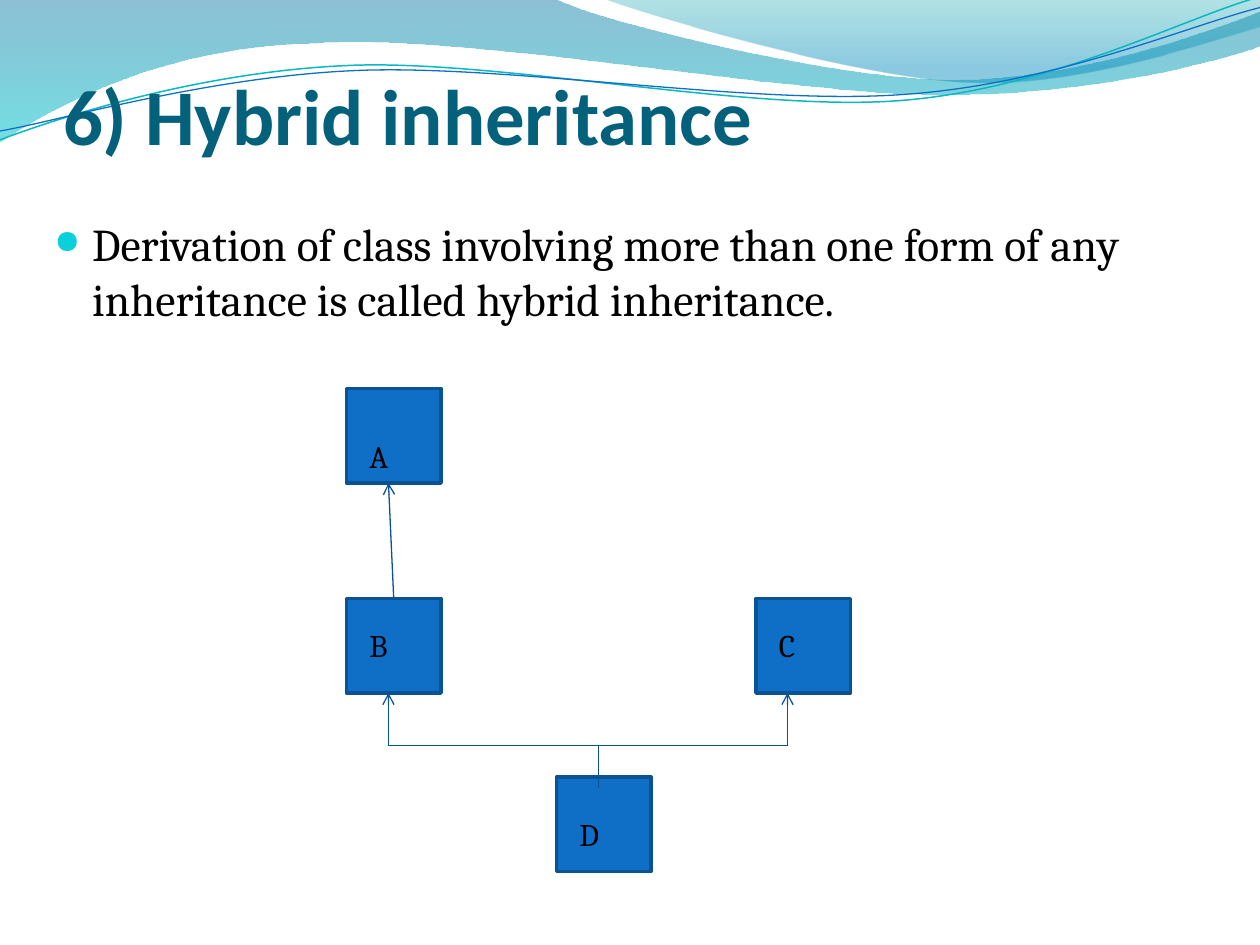
from dataclasses import dataclass
from typing import NamedTuple

from lxml import etree
from pptx import Presentation
from pptx import util as u
from pptx.dml.color import RGBColor
from pptx.enum import shapes, text
from pptx.oxml.ns import qn

WIDTH, HEIGHT = u.Inches(10), u.Inches(7.5)
CELL = WIDTH / 120  # the grid has 120 columns and 90 rows
BOX_SIZE = 9

TITLE_COLOR = RGBColor(0x04, 0x61, 0x7B)
BLACK = RGBColor(0, 0, 0)
BULLET = RGBColor(0x0B, 0xD0, 0xD9)
BOX_FILL = RGBColor(0x0F, 0x6F, 0xC6)
BOX_LINE = RGBColor(0x0B, 0x52, 0x92)
ARROW = RGBColor(0x09, 0x52, 0x95)
TEAL = RGBColor(0x0A, 0xB8, 0xBF)
DEEP_BLUE = RGBColor(0x00, 0x74, 0xA1)
CYAN = RGBColor(0x00, 0xC6, 0xCF)
SEA_GREEN = RGBColor(0x00, 0xA1, 0xA9)
SKY_BLUE = RGBColor(0x00, 0x8B, 0xBF)


class Stop(NamedTuple):
    position: float
    color: RGBColor
    alpha: int  # percent


@dataclass
class Wave:
    """A path in 1/1000 of the width: 2 numbers make a line, 6 a Bezier curve."""
    start: tuple
    segments: list
    stops: tuple = ()
    color: RGBColor | None = None
    weight: float = 0


@dataclass
class ClassBox:
    name: str
    column: float
    row: float
    label_row: float


@dataclass
class Link:
    start: tuple
    end: tuple
    arrow: bool = False


WAVES = [
    Wave((0, 0), [(440, -1), (476, 17, 664, 63, 758, 63),
                  (853, 63, 958, 26, 1000, 9), (1001, 36),
                  (983, 44, 870, 76, 746, 75),
                  (622, 75, 382, 28, 257, 34),
                  (129, 36, 46, 83, -1, 113)],
         stops=(Stop(0, DEEP_BLUE, 45), Stop(1, CYAN, 55))),
    Wave((479, -1), [(509, 11, 682, 62, 769, 65),
                     (856, 69, 961, 32, 1000, 21), (1000, 0)],
         stops=(Stop(0, SEA_GREEN, 30), Stop(0.8, SKY_BLUE, 45))),
    Wave((0, 111), [(48, 93, 158, 57, 277, 52),
                    (395, 47, 593, 89, 713, 80),
                    (833, 71, 938, 15, 998, -2)],
         color=TEAL, weight=0.85),
    Wave((0, 104), [(47, 96, 164, 61, 283, 56),
                    (403, 51, 597, 84, 717, 75),
                    (836, 67, 941, 21, 1000, 6)],
         color=BOX_FILL, weight=0.75),
]
BOXES = [ClassBox("A", 33, 37, 41), ClassBox("B", 33, 57, 59),
         ClassBox("C", 72, 57, 59), ClassBox("D", 53, 74, 77)]
JUNCTION = (57, 71)
LINKS = [
    Link((37.5, 57), (37, 46), arrow=True),
    Link((37, 71), (37, 66), arrow=True),
    Link((75, 71), (75, 66), arrow=True),
    Link((37, 71), (75, 71)),
    Link(JUNCTION, JUNCTION),
    Link(JUNCTION, (57, 75)),
]


def grid(*cells: float) -> list:
    return [u.Emu(round(cell * CELL)) for cell in cells]


def apply(target, **values) -> None:
    for name, value in values.items():
        setattr(target, name, value)


def write(frame, words: str, color: RGBColor, **font_values):
    """Write one paragraph and return it."""
    paragraph = frame.paragraphs[0]
    run = paragraph.add_run()
    run.text = words
    apply(run.font, **font_values)
    run.font.color.rgb = color
    return paragraph


def bend(shape, wave: Wave, left: int, top: int) -> None:
    """Replace straight segments with the wave's Bezier curves."""
    lines = list(shape._element.spPr.iter(qn("a:lnTo")))
    for line, segment in zip(lines, wave.segments):
        if len(segment) == 2:
            continue
        curve = etree.Element(qn("a:cubicBezTo"))
        for x, y in zip(segment[::2], segment[1::2]):
            etree.SubElement(curve, qn("a:pt"), x=str(x - left), y=str(y - top))
        line.getparent().replace(line, curve)


def draw_wave(slide, wave: Wave) -> None:
    anchors = [wave.start] + [segment[-2:] for segment in wave.segments]
    builder = slide.shapes.build_freeform(*wave.start, scale=WIDTH / 1000)
    builder.add_line_segments(anchors[1:], close=bool(wave.stops))
    shape = builder.convert_to_shape()
    bend(shape, wave, min(x for x, _ in anchors), min(y for _, y in anchors))
    shape.shadow.inherit = False
    if not wave.stops:
        shape.fill.background()
        shape.line.color.rgb = wave.color
        shape.line.width = u.Pt(wave.weight)
        return
    shape.line.fill.background()
    shape.fill.gradient()
    shape.fill.gradient_angle = 270
    for stop, values in zip(shape.fill.gradient_stops, wave.stops):
        stop.position = values.position
        stop.color.rgb = values.color
    colors = shape._element.spPr.find(qn("a:gradFill")).iter(qn("a:srgbClr"))
    for color, values in zip(colors, wave.stops):
        etree.SubElement(color, qn("a:alpha"), val=str(values.alpha * 1000))


def draw_box(slide, box: ClassBox) -> None:
    shape = slide.shapes.add_shape(
        shapes.MSO_SHAPE.RECTANGLE, *grid(box.column, box.row, BOX_SIZE, BOX_SIZE))
    shape.shadow.inherit = False
    shape.fill.solid()
    shape.fill.fore_color.rgb = BOX_FILL
    shape.line.color.rgb = BOX_LINE
    shape.line.width = u.Pt(2)


def draw_link(slide, link: Link) -> None:
    connector = slide.shapes.add_connector(
        shapes.MSO_CONNECTOR.STRAIGHT, *grid(*link.start, *link.end))
    connector.line.color.rgb = ARROW
    connector.line.width = u.Pt(0.75)
    if link.arrow:
        etree.SubElement(connector.line._get_or_add_ln(), qn("a:tailEnd"), type="arrow")
    etree.SubElement(connector._element.spPr, qn("a:effectLst"))


def draw_label(slide, box: ClassBox) -> None:
    frame = slide.shapes.add_textbox(
        *grid(box.column + 1, box.label_row, 6, 4.8)).text_frame
    frame.word_wrap = True
    write(frame, box.name, BLACK, size=u.Pt(18), name="Cambria")


def set_title(slide, words: str) -> None:
    title = slide.shapes.title
    apply(title, left=round(WIDTH * 0.05), top=u.Inches(0.77),
          width=round(WIDTH * 0.9), height=u.Inches(1.25))
    # The bottom margin keeps one line's height free under the title
    apply(title.text_frame, vertical_anchor=text.MSO_ANCHOR.BOTTOM,
          auto_size=text.MSO_AUTO_SIZE.NONE, word_wrap=True, margin_left=0,
          margin_right=0, margin_top=u.Inches(0.05), margin_bottom=u.Inches(0.74))
    paragraph = write(title.text_frame, words, TITLE_COLOR,
                      size=u.Pt(45), name="Calibri", bold=True)
    paragraph.alignment = text.PP_ALIGN.LEFT
    slide.shapes._spTree.append(title._element)  # in front of the waves


def add_body(slide, words: str) -> None:
    frame = slide.shapes.add_textbox(*grid(4, 20, 111, 64)).text_frame
    frame.word_wrap = True
    paragraph = write(frame, words, BLACK, size=u.Pt(26), name="Cambria")
    paragraph.space_before = u.Pt(5.2)
    properties = paragraph._p.get_or_add_pPr()
    properties.set("marL", str(u.Inches(0.3)))
    properties.set("indent", str(-u.Inches(0.3)))
    bullet_color = etree.SubElement(properties, qn("a:buClr"))
    etree.SubElement(bullet_color, qn("a:srgbClr"), val=str(BULLET))
    etree.SubElement(properties, qn("a:buSzPct"), val="72000")
    etree.SubElement(properties, qn("a:buChar"), char="●")


def main() -> None:
    presentation = Presentation()
    apply(presentation, slide_width=WIDTH, slide_height=HEIGHT)
    slide = presentation.slides.add_slide(presentation.slide_layouts[5])

    # Header waves
    for wave in WAVES:
        draw_wave(slide, wave)

    # Title and definition
    set_title(slide, "6) Hybrid inheritance")
    add_body(slide, "Derivation of class involving more than one form of any "
                    "inheritance is called hybrid inheritance.")

    # Class diagram
    for draw, items in ((draw_box, BOXES), (draw_link, LINKS), (draw_label, BOXES)):
        for item in items:
            draw(slide, item)

    presentation.save("out.pptx")


if __name__ == "__main__":
    main()
